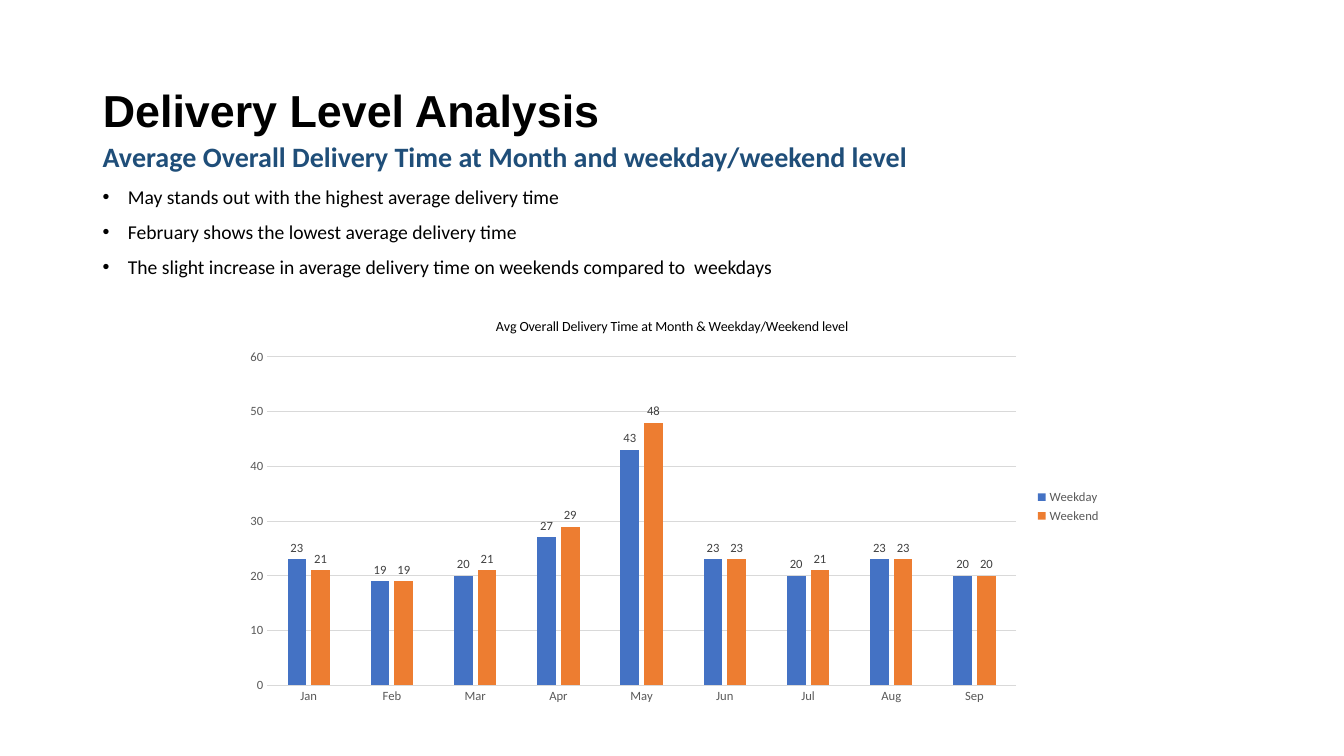
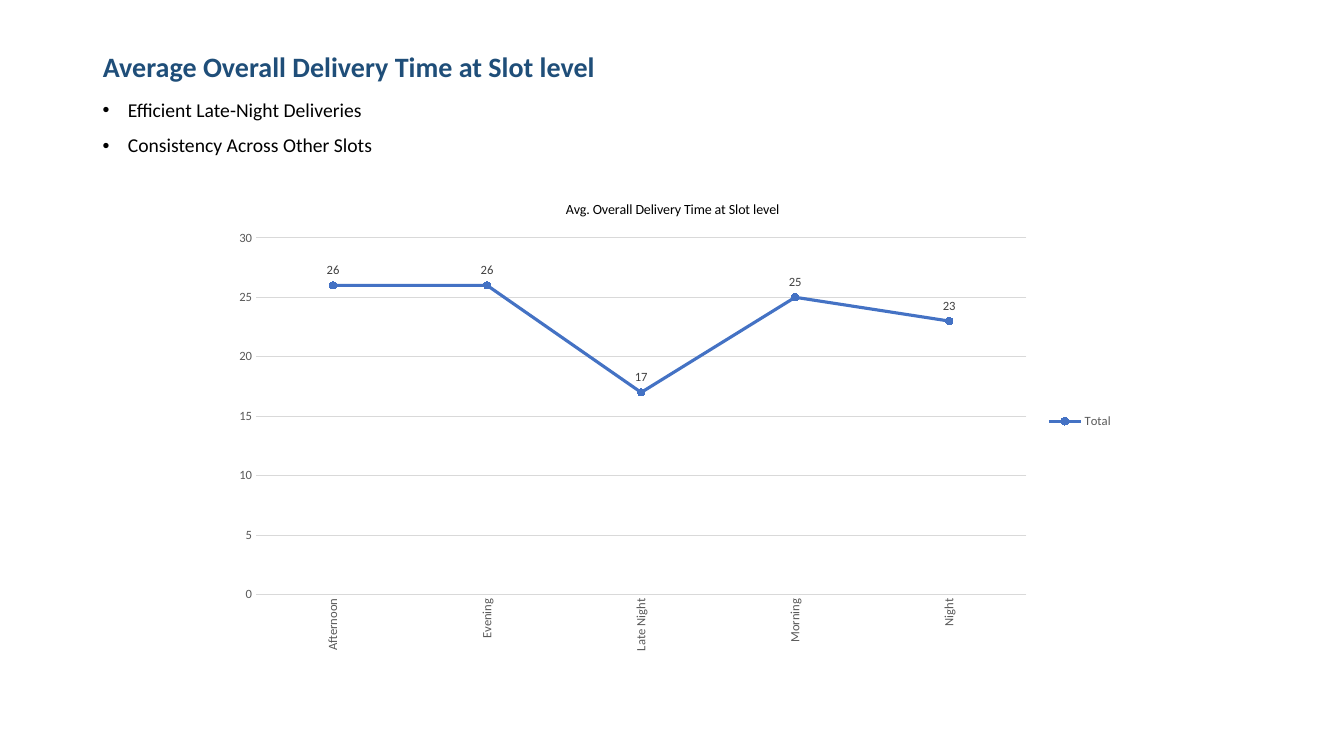
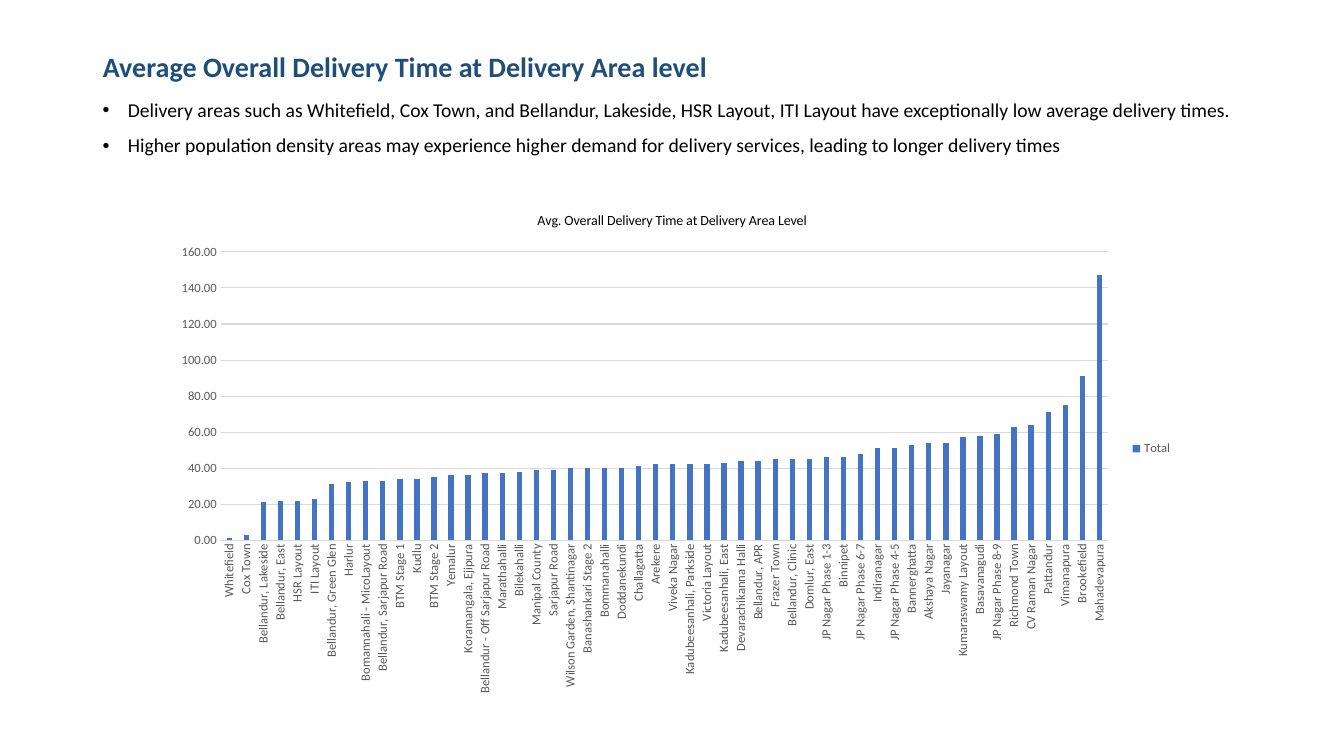
from lxml import etree
from pptx import Presentation
from pptx import util as u
from pptx.chart import data as chart_data
from pptx.dml.color import RGBColor
from pptx.enum import chart as charts, text
from pptx.oxml import ns

FONT = "Calibri"
BLACK, NAVY, GREY, DARK_GREY, GRID = "000000", "1F4E79", "595959", "404040", "D9D9D9"
SERIES_COLOURS = ["4472C4", "ED7D31"]
CONTENT_LEFT, CONTENT_WIDTH = 0.92, 11.5
PLOT_TOP = 0.55

MONTHS = ["Jan", "Feb", "Mar", "Apr", "May", "Jun", "Jul", "Aug", "Sep"]
MONTH_TIMES = {
    "Weekday": [23, 19, 20, 27, 43, 23, 20, 23, 20],
    "Weekend": [21, 19, 21, 29, 48, 23, 21, 23, 20],
}
SLOT_TIMES = {"Afternoon": 26, "Evening": 26, "Late Night": 17, "Morning": 25, "Night": 23}
AREA_TIMES = {
    "Whitefield": 1, "Cox Town": 3, "Bellandur, Lakeside": 21, "Bellandur, East": 22,
    "HSR Layout": 22, "ITI Layout": 23, "Bellandur, Green Glen": 31, "Harlur": 32,
    "Bomannahali - MicoLayout": 33, "Bellandur, Sarjapur Road": 33, "BTM Stage 1": 34,
    "Kudlu": 34, "BTM Stage 2": 35, "Yemalur": 36, "Koramangala, Ejipura": 36,
    "Bellandur - Off Sarjapur Road": 37, "Marathahalli": 37, "Bilekahalli": 38,
    "Manipal County": 39, "Sarjapur Road": 39, "Wilson Garden, Shantinagar": 40,
    "Banashankari Stage 2": 40, "Bommanahalli": 40, "Doddanekundi": 40, "Challagatta": 41,
    "Arekere": 42, "Viveka Nagar": 42, "Kadubeesanhali, Parkside": 42,
    "Victoria Layout": 42, "Kadubeesanhali, East": 43, "Devarachikanna Halli": 44,
    "Bellandur, APR": 44, "Frazer Town": 45, "Bellandur, Clinic": 45, "Domlur, East": 45,
    "JP Nagar Phase 1-3": 46, "Binnipet": 46, "JP Nagar Phase 6-7": 48, "Indiranagar": 51,
    "JP Nagar Phase 4-5": 51, "Bannerghatta": 53, "Akshaya Nagar": 54, "Jayanagar": 54,
    "Kumaraswamy Layout": 57, "Basavanagudi": 58, "JP Nagar Phase 8-9": 59,
    "Richmond Town": 63, "CV Raman Nagar": 64, "Pattandur": 71, "Vimanapura": 75,
    "Brookefield": 91, "Mahadevapura": 147,
}


def colour(value):
    return RGBColor.from_string(value)


def box_lengths(box):
    return [u.Inches(length) for length in box]


def style_font(font, size, value, bold=False, name=FONT):
    font.name, font.size, font.bold = name, u.Pt(size), bold
    font.color.rgb = colour(value)


def style_paragraph(paragraph, size, value, bold=False, name=FONT):
    paragraph.alignment = text.PP_ALIGN.LEFT
    paragraph.line_spacing = 0.9
    for run in paragraph.runs:
        style_font(run.font, size, value, bold, name)


def add_bullet(paragraph):
    properties = paragraph._p.get_or_add_pPr()
    properties.set("marL", str(u.Inches(0.25)))
    properties.set("indent", str(-u.Inches(0.25)))
    etree.SubElement(properties, ns.qn("a:buFont")).set("typeface", "Arial")
    etree.SubElement(properties, ns.qn("a:buChar")).set("char", "•")


def add_titled_slide(presentation, title, height=0.55, size=20, value=NAVY, name=FONT):
    slide = presentation.slides.add_slide(presentation.slide_layouts[5])
    shape = slide.shapes.title
    shape.left, shape.top, shape.width, shape.height = box_lengths(
        (CONTENT_LEFT, 0.4, CONTENT_WIDTH, height))
    frame = shape.text_frame
    frame.text = title
    frame.auto_size = text.MSO_AUTO_SIZE.NONE
    frame.vertical_anchor = text.MSO_ANCHOR.MIDDLE
    style_paragraph(frame.paragraphs[0], size, value, True, name)
    return slide


def add_findings(slide, top, height, findings, heading=None):
    """Place an optional heading and the bulleted findings."""
    box = slide.shapes.add_textbox(*box_lengths((CONTENT_LEFT, top, CONTENT_WIDTH, height)))
    frame = box.text_frame
    frame.word_wrap = True
    lines = [heading] * bool(heading) + findings
    frame.text = "\n".join(lines)
    for line, paragraph in zip(lines, frame.paragraphs):
        paragraph.space_before = u.Pt(10)
        if line == heading:
            style_paragraph(paragraph, 20, NAVY, True)
        else:
            style_paragraph(paragraph, 14, BLACK)
            add_bullet(paragraph)


def set_plot_box(chart, box, plot):
    """Fix the inner plot area, given as left, top, width, height in the chart."""
    area = chart.element.xpath(".//c:plotArea")[0]
    for old_layout in area.findall(ns.qn("c:layout")):
        area.remove(old_layout)
    layout = etree.Element(ns.qn("c:layout"))
    area.insert(0, layout)
    manual = etree.SubElement(layout, ns.qn("c:manualLayout"))
    fractions = [length / box[2 + index % 2] for index, length in enumerate(plot)]
    settings = [("layoutTarget", "inner"), ("xMode", "edge"), ("yMode", "edge")]
    settings += [(key, f"{part:.4f}") for key, part in zip("xywh", fractions)]
    for key, setting in settings:
        etree.SubElement(manual, ns.qn("c:" + key)).set("val", setting)


def style_axes(chart, number_format, upright):
    for axis in (chart.category_axis, chart.value_axis):
        axis.major_tick_mark = axis.minor_tick_mark = charts.XL_TICK_MARK.NONE
        style_font(axis.tick_labels.font, 9, GREY)
    category_line = chart.category_axis.format.line
    category_line.color.rgb, category_line.width = colour(GRID), u.Pt(0.75)
    if upright:
        body = chart.element.xpath(".//c:catAx/c:txPr/a:bodyPr")[0]
        body.set("rot", "-5400000")
        body.set("vert", "horz")
    value_axis = chart.value_axis
    value_axis.format.line.fill.background()
    grid_line = value_axis.major_gridlines.format.line
    grid_line.color.rgb, grid_line.width = colour(GRID), u.Pt(0.75)
    value_axis.tick_labels.number_format = number_format
    value_axis.tick_labels.number_format_is_linked = False


def style_series(series, value, is_line):
    if not is_line:
        series.format.fill.solid()
        series.format.fill.fore_color.rgb = colour(value)
        return
    series.smooth = False
    series.format.line.color.rgb, series.format.line.width = colour(value), u.Pt(2.25)
    marker = series.marker
    marker.style, marker.size = charts.XL_MARKER_STYLE.CIRCLE, 5
    marker.format.fill.solid()
    marker.format.fill.fore_color.rgb = colour(value)
    marker.format.line.color.rgb = colour(value)


def add_labels(series, position):
    labels = series.data_labels
    labels.show_value = True
    labels.position = position
    labels.number_format, labels.number_format_is_linked = "0", False
    style_font(labels.font, 9, DARK_GREY)


def add_time_chart(slide, box, plot, title, categories, series_values, is_line=False,
                   labelled=True, upright=False, number_format="0"):
    source = chart_data.CategoryChartData()
    source.categories = categories
    for name, values in series_values.items():
        source.add_series(name, values)
    kinds = charts.XL_CHART_TYPE
    kind = kinds.LINE_MARKERS if is_line else kinds.COLUMN_CLUSTERED
    chart = slide.shapes.add_chart(kind, *box_lengths(box), source).chart
    style_font(chart.font, 10, BLACK)

    # Title and legend
    chart.has_title = True
    chart.chart_title.include_in_layout = False
    chart.chart_title.text_frame.text = title
    style_font(chart.chart_title.text_frame.paragraphs[0].runs[0].font, 10, BLACK)
    chart.has_legend = True
    chart.legend.position = charts.XL_LEGEND_POSITION.RIGHT
    chart.legend.include_in_layout = False
    style_font(chart.legend.font, 9, GREY)

    # Plot
    style_axes(chart, number_format, upright)
    chart_plot = chart.plots[0]
    chart_plot.vary_by_categories = False
    if not is_line:
        chart_plot.gap_width, chart_plot.overlap = 219, -27
    positions = charts.XL_LABEL_POSITION
    position = positions.ABOVE if is_line else positions.OUTSIDE_END
    for series, value in zip(chart_plot.series, SERIES_COLOURS):
        style_series(series, value, is_line)
        if labelled:
            add_labels(series, position)
    set_plot_box(chart, box, plot)


def build_month_slide(presentation):
    slide = add_titled_slide(presentation, "Delivery Level Analysis", 1.45, 32, BLACK, "Arial")
    add_findings(slide, 1.37, 1.62, [
        "May stands out with the highest average delivery time",
        "February shows the lowest average delivery time",
        "The slight increase in average delivery time on weekends compared to  weekdays",
    ], "Average Overall Delivery Time at Month and weekday/weekend level")
    add_time_chart(slide, (2.31, 2.99, 8.71, 4.07), (0.34, PLOT_TOP, 7.43, 3.26),
                   "Avg Overall Delivery Time at Month & Weekday/Weekend level",
                   MONTHS, MONTH_TIMES)


def build_slot_slide(presentation):
    slide = add_titled_slide(presentation, "Average Overall Delivery Time at Slot level")
    add_findings(slide, 0.95, 0.74, [
        "Efficient Late-Night Deliveries",
        "Consistency Across Other Slots",
    ])
    add_time_chart(slide, (2.2, 1.81, 8.94, 4.74), (0.34, PLOT_TOP, 7.64, 3.54),
                   "Avg. Overall Delivery Time at Slot level",
                   list(SLOT_TIMES), {"Total": list(SLOT_TIMES.values())},
                   is_line=True, upright=True)


def build_area_slide(presentation):
    slide = add_titled_slide(presentation, "Average Overall Delivery Time at Delivery Area level")
    add_findings(slide, 0.95, 0.74, [
        "Delivery areas such as Whitefield, Cox Town, and Bellandur, Lakeside, HSR Layout, "
        "ITI Layout have exceptionally low average delivery times.",
        "Higher population density areas may experience higher demand for delivery services, "
        "leading to longer delivery times",
    ])
    add_time_chart(slide, (1.6, 1.92, 10.13, 5.06), (0.59, PLOT_TOP + 0.03, 8.8, 2.86),
                   "Avg. Overall Delivery Time at Delivery Area Level",
                   list(AREA_TIMES), {"Total": list(AREA_TIMES.values())},
                   labelled=False, upright=True, number_format="0.00")


def main():
    presentation = Presentation()
    presentation.slide_width, presentation.slide_height = box_lengths((13.33, 7.5))
    build_month_slide(presentation)
    build_slot_slide(presentation)
    build_area_slide(presentation)
    presentation.save("out.pptx")


if __name__ == "__main__":
    main()
